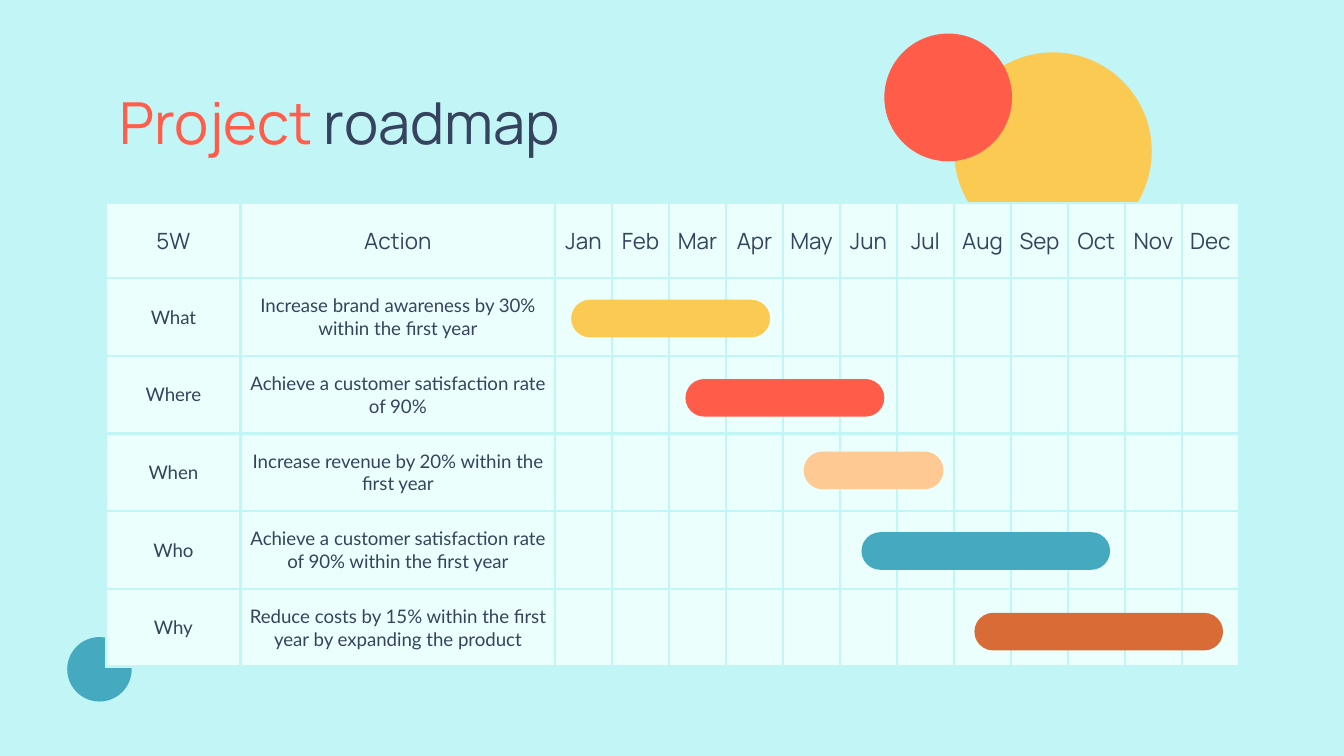
from dataclasses import dataclass

from lxml.etree import SubElement
from pptx import Presentation
from pptx.dml.color import RGBColor
from pptx.enum.shapes import MSO_SHAPE as Shape
from pptx.enum.text import MSO_ANCHOR as Anchor, MSO_AUTO_SIZE as AutoSize, PP_ALIGN as Align
from pptx.oxml.ns import qn
from pptx.util import Inches, Pt


@dataclass(frozen=True)
class Theme:
    background: str = "C2F5F5"
    cell: str = "EBFFFD"
    ink: str = "36435E"
    red: str = "FF5C4A"
    yellow: str = "FACA52"
    peach: str = "FFC994"
    teal: str = "45AAC0"
    orange: str = "D96C36"
    heading_font: str = "Manrope"
    body_font: str = "Lato"
    title_size: int = 31
    header_size: int = 12
    body_size: int = 10
    border_width: float = 1.5


THEME = Theme()
MONTHS = "Jan Feb Mar Apr May Jun Jul Aug Sep Oct Nov Dec".split()
ACTIONS = [
    ("What", "Increase brand awareness by 30% within the first year"),
    ("Where", "Achieve a customer satisfaction rate of 90%"),
    ("When", "Increase revenue by 20% within the first year"),
    ("Who", "Achieve a customer satisfaction rate of 90% within the first year"),
    ("Why", "Reduce costs by 15% within the first year by expanding the product"),
]
# left, top, width, colour
BARS = [
    (4.25, 2.23, 1.48, THEME.yellow),
    (5.1, 2.82, 1.48, THEME.red),
    (5.98, 3.36, 1.04, THEME.peach),
    (6.41, 3.96, 1.85, THEME.teal),
    (7.25, 4.56, 1.85, THEME.orange),
]
BAR_HEIGHT = 0.28
LEFT, WIDTH = 0.79, 8.43
TABLE_TOP, TABLE_HEIGHT = 1.51, 3.45
HEADER_HEIGHT = 0.56
LABEL_WIDTHS = [1, 2.34]


class RoadmapSlide:
    def __init__(self, presentation, theme):
        self.theme = theme
        self.slide = presentation.slides.add_slide(presentation.slide_layouts[5])
        fill = self.slide.background.fill
        fill.solid()
        fill.fore_color.rgb = RGBColor.from_string(theme.background)

    def add_run(self, paragraph, text, font, size, color):
        run = paragraph.add_run()
        run.text = text
        run.font.name = font
        run.font.size = Pt(size)
        run.font.color.rgb = RGBColor.from_string(color)

    def set_title(self, parts):
        """Fill the title from (text, colour) pairs."""
        title = self.slide.shapes.title
        title.left, title.top = Inches(LEFT), Inches(0.59)
        title.width, title.height = Inches(WIDTH), Inches(0.62)
        frame = title.text_frame
        frame.auto_size = AutoSize.NONE
        frame.word_wrap = True
        frame.vertical_anchor = Anchor.MIDDLE
        frame.margin_left = frame.margin_right = Inches(0.1)
        frame.margin_top = frame.margin_bottom = Inches(0.1)
        paragraph = frame.paragraphs[0]
        paragraph.alignment = Align.LEFT
        for text, color in parts:
            self.add_run(paragraph, text, self.theme.heading_font, self.theme.title_size, color)

    def add_filled_shape(self, kind, left, top, width, height, color):
        shape = self.slide.shapes.add_shape(
            kind, Inches(left), Inches(top), Inches(width), Inches(height))
        shape.shadow.inherit = False
        shape.fill.solid()
        shape.fill.fore_color.rgb = RGBColor.from_string(color)
        shape.line.fill.background()
        return shape

    def add_circle(self, left, top, diameter, color):
        self.add_filled_shape(Shape.OVAL, left, top, diameter, diameter, color)

    def add_bar(self, left, top, width, color):
        bar = self.add_filled_shape(
            Shape.ROUNDED_RECTANGLE, left, top, width, BAR_HEIGHT, color)
        bar.adjustments[0] = 0.5

    def add_borders(self, cell):
        properties = cell._tc.get_or_add_tcPr()
        for side in ("a:lnL", "a:lnR", "a:lnT", "a:lnB"):
            line = SubElement(properties, qn(side), w=str(Pt(self.theme.border_width)))
            fill = SubElement(line, qn("a:solidFill"))
            SubElement(fill, qn("a:srgbClr"), val=self.theme.background)

    def fill_cell(self, cell, text, font, size, margin):
        # Borders must come before the fill in the cell properties.
        self.add_borders(cell)
        cell.fill.solid()
        cell.fill.fore_color.rgb = RGBColor.from_string(self.theme.cell)
        cell.vertical_anchor = Anchor.MIDDLE
        cell.margin_left = cell.margin_right = Inches(margin)
        cell.margin_top = cell.margin_bottom = Inches(margin)
        if text:
            paragraph = cell.text_frame.paragraphs[0]
            paragraph.alignment = Align.CENTER
            self.add_run(paragraph, text, font, size, self.theme.ink)

    def add_schedule(self, header, rows):
        theme = self.theme
        table = self.slide.shapes.add_table(
            len(rows) + 1, len(header), Inches(LEFT), Inches(TABLE_TOP),
            Inches(WIDTH), Inches(TABLE_HEIGHT)).table
        table.first_row = table.horz_banding = False
        month_width = (WIDTH - sum(LABEL_WIDTHS)) / len(MONTHS)
        for column, width in zip(table.columns, LABEL_WIDTHS + [month_width] * len(MONTHS)):
            column.width = Inches(width)
        row_height = (TABLE_HEIGHT - HEADER_HEIGHT) / len(rows)
        for row, height in zip(table.rows, [HEADER_HEIGHT] + [row_height] * len(rows)):
            row.height = Inches(height)
        for column, text in enumerate(header):
            self.fill_cell(table.cell(0, column), text, theme.heading_font, theme.header_size, 0)
        for row, labels in enumerate(rows, start=1):
            texts = [*labels, *[""] * len(MONTHS)]
            for column, text in enumerate(texts):
                self.fill_cell(table.cell(row, column), text, theme.body_font, theme.body_size, 0.05)


def main():
    presentation = Presentation()
    presentation.slide_width = Inches(10)
    presentation.slide_height = presentation.slide_width * 9 // 16

    roadmap = RoadmapSlide(presentation, THEME)
    roadmap.add_circle(0.5, 4.74, 0.48, THEME.teal)
    roadmap.add_circle(7.1, 0.39, 1.47, THEME.yellow)
    roadmap.set_title([("Project", THEME.red), (" roadmap", THEME.ink)])
    roadmap.add_schedule(["5W", "Action", *MONTHS], ACTIONS)
    for bar in BARS:
        roadmap.add_bar(*bar)
    roadmap.add_circle(6.58, 0.25, 0.95, THEME.red)

    presentation.save("out.pptx")


if __name__ == "__main__":
    main()
